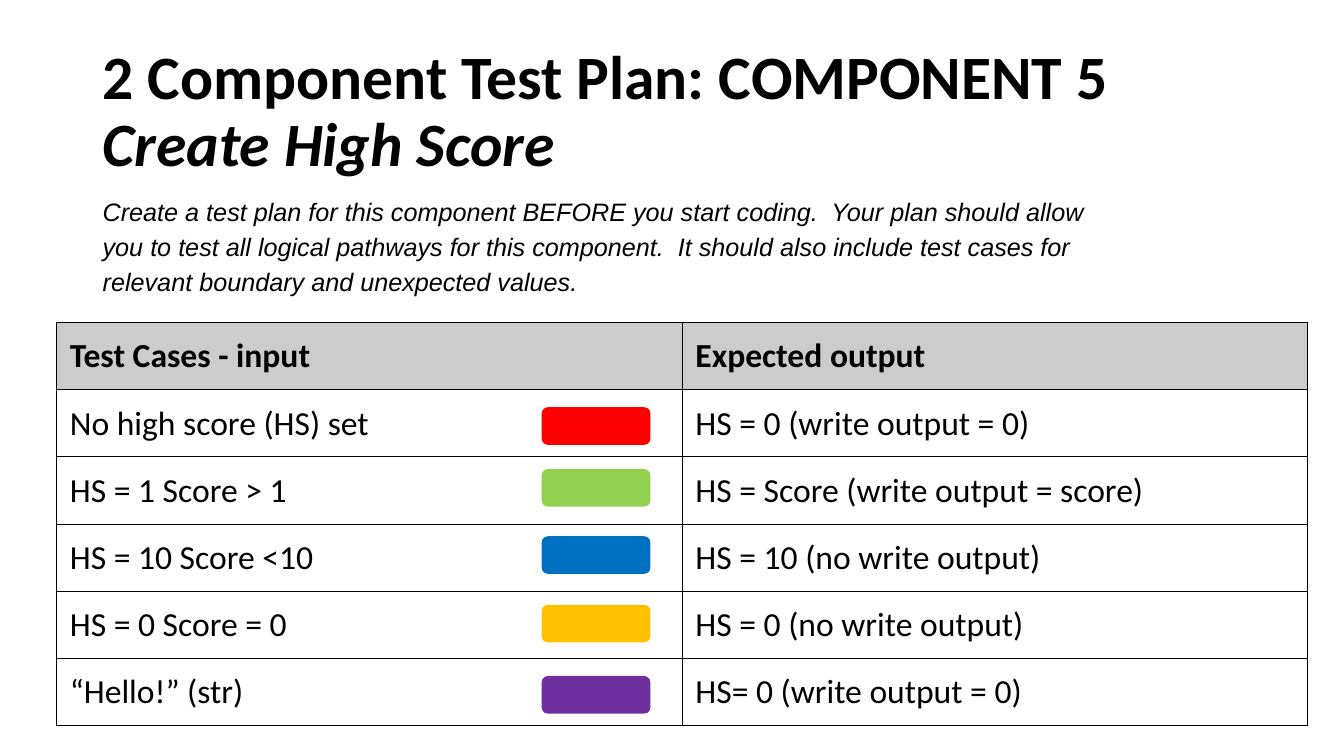
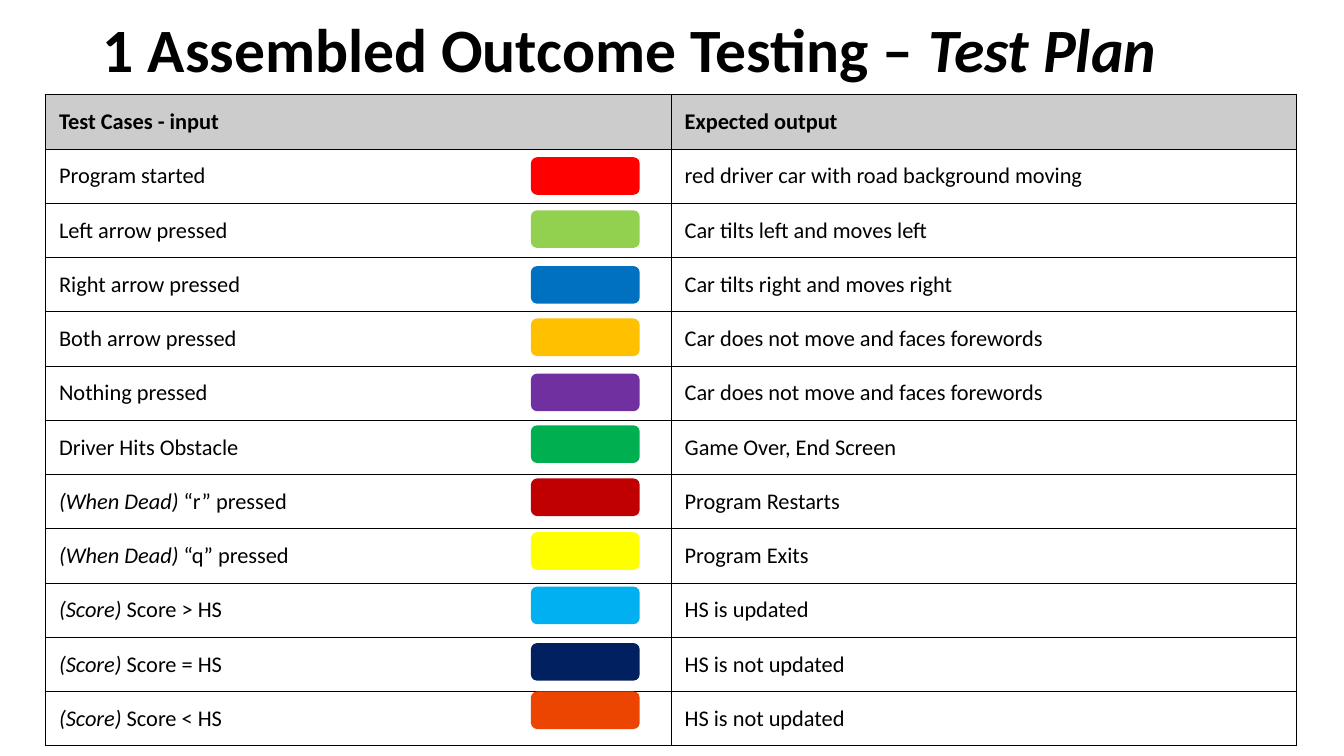
"""Build two test plan slides: a heading, a bordered table and colour swatches."""
from dataclasses import dataclass

from lxml.etree import SubElement
from pptx import Presentation
from pptx.dml.color import RGBColor
from pptx.enum.shapes import MSO_SHAPE
from pptx.enum.text import MSO_ANCHOR, MSO_AUTO_SIZE, PP_ALIGN
from pptx.oxml.ns import qn
from pptx.util import Emu, Pt

EMU_PER_PX = 6096

BLACK = RGBColor(0x00, 0x00, 0x00)
WHITE = RGBColor(0xFF, 0xFF, 0xFF)
HEADER_GREY = RGBColor(0xCC, 0xCC, 0xCC)
RED = RGBColor(0xFF, 0x00, 0x00)
LIGHT_GREEN = RGBColor(0x92, 0xD0, 0x50)
BLUE = RGBColor(0x00, 0x70, 0xC0)
AMBER = RGBColor(0xFF, 0xC0, 0x00)
PURPLE = RGBColor(0x70, 0x30, 0xA0)
GREEN = RGBColor(0x00, 0xB0, 0x50)
DARK_RED = RGBColor(0xC0, 0x00, 0x00)
YELLOW = RGBColor(0xFF, 0xFF, 0x00)
SKY_BLUE = RGBColor(0x00, 0xB0, 0xF0)
NAVY = RGBColor(0x00, 0x20, 0x60)
ORANGE = RGBColor(0xEC, 0x45, 0x02)

HEADINGS = ("Test Cases - input", "Expected output")
COLUMN_WIDTH = 931
CELL_MARGIN = 20
SWATCH_OFFSET, SWATCH_WIDTH, SWATCH_HEIGHT = 722, 162, 56

TITLE_FONT = {"name": "Calibri", "size": Pt(44), "bold": True}
INSTRUCTION_FONT = {"name": "Arial", "size": Pt(18), "bold": False}
TITLE_PARAGRAPH = {"alignment": PP_ALIGN.LEFT, "line_spacing": 0.9}
TITLE_FRAME = {
    "word_wrap": True,
    "auto_size": MSO_AUTO_SIZE.NONE,
    "vertical_anchor": MSO_ANCHOR.MIDDLE,
}

INSTRUCTION = (
    "Create a test plan for this component BEFORE you start coding.  "
    "Your plan should allow you to test all logical pathways for this component.  "
    "It should also include test cases for relevant boundary and unexpected values."
)


@dataclass
class TestCase:
    """One table row, with the colour and top edge of its swatch."""

    test_input: str
    expected: str
    colour: RGBColor
    swatch_top: int
    condition: str = ""


COMPONENT_CASES = [
    TestCase("No high score (HS) set", "HS = 0 (write output = 0)", RED, 606),
    TestCase("HS = 1 Score > 1", "HS = Score (write output = score)", LIGHT_GREEN, 698),
    TestCase("HS = 10 Score <10", "HS = 10 (no write output)", BLUE, 798),
    TestCase("HS = 0 Score = 0", "HS = 0 (no write output)", AMBER, 900),
    TestCase("“Hello!” (str)", "HS= 0 (write output = 0)", PURPLE, 1006),
]

OUTCOME_CASES = [
    TestCase("Program started", "red driver car with road background moving", RED, 234),
    TestCase("Left arrow pressed", "Car tilts left and moves left", LIGHT_GREEN, 313),
    TestCase("Right arrow pressed", "Car tilts right and moves right", BLUE, 396),
    TestCase("Both arrow pressed", "Car does not move and faces forewords", AMBER, 474),
    TestCase("Nothing pressed", "Car does not move and faces forewords", PURPLE, 556),
    TestCase("Driver Hits Obstacle", "Game Over, End Screen", GREEN, 633),
    TestCase("“r” pressed", "Program Restarts", DARK_RED, 712, "(When Dead) "),
    TestCase("“q” pressed", "Program Exits", YELLOW, 792, "(When Dead) "),
    TestCase("Score > HS", "HS is updated", SKY_BLUE, 873, "(Score) "),
    TestCase("Score = HS", "HS is not updated", NAVY, 957, "(Score) "),
    TestCase("Score < HS", "HS is not updated", ORANGE, 1029, "(Score) "),
]


def px(length):
    """Convert a length in px to EMU."""
    return Emu(length * EMU_PER_PX)


def box(left, top, width, height):
    """Return a position and size as keyword values in EMU."""
    return {"left": px(left), "top": px(top), "width": px(width), "height": px(height)}


def apply_format(target, values):
    """Set every attribute named in a dict of format values."""
    for name, value in values.items():
        setattr(target, name, value)


def add_run(paragraph, text, font_format, italic=False):
    """Append a black run in the given font."""
    run = paragraph.add_run()
    run.text = text
    apply_format(run.font, {**font_format, "italic": italic})
    run.font.color.rgb = BLACK


def add_title(slide, top, text, italic_text, two_lines=False):
    """Fill the title placeholder with a plain and an italic part."""
    title = slide.shapes.title
    apply_format(title, box(138, top, 1725, 217))
    apply_format(title.text_frame, TITLE_FRAME)
    paragraph = title.text_frame.paragraphs[0]
    apply_format(paragraph, TITLE_PARAGRAPH)
    add_run(paragraph, text, TITLE_FONT)
    if two_lines:
        paragraph.add_line_break()
    add_run(paragraph, italic_text, TITLE_FONT, italic=True)


def add_instruction(slide, text):
    """Add the italic instruction under the title."""
    frame = slide.shapes.add_textbox(**box(138, 278, 1550, 168)).text_frame
    apply_format(frame, {"word_wrap": True, "auto_size": MSO_AUTO_SIZE.SHAPE_TO_FIT_TEXT})
    paragraph = frame.paragraphs[0]
    paragraph.line_spacing = 1.15
    add_run(paragraph, text, INSTRUCTION_FONT, italic=True)


def add_borders(cell):
    """Draw a thin black line on each side of a cell."""
    properties = cell._tc.get_or_add_tcPr()
    for side in ("a:lnL", "a:lnR", "a:lnT", "a:lnB"):
        line = SubElement(properties, qn(side), w=str(Pt(0.75)))
        fill = SubElement(line, qn("a:solidFill"))
        SubElement(fill, qn("a:srgbClr"), val=str(BLACK))


def format_cell(cell, fill_colour):
    """Give a cell its margins, borders and fill."""
    sides = ("left", "right", "top", "bottom")
    apply_format(cell, {f"margin_{side}": px(CELL_MARGIN) for side in sides})
    add_borders(cell)
    cell.fill.solid()
    cell.fill.fore_color.rgb = fill_colour


def add_test_table(slide, left, top, row_height, font_size, cases):
    """Add the table of test cases under its header row."""
    rows = [("", *HEADINGS)]
    rows += [(case.condition, case.test_input, case.expected) for case in cases]
    area = box(left, top, 2 * COLUMN_WIDTH, row_height * len(rows))
    table = slide.shapes.add_table(len(rows), 2, **area).table
    apply_format(table, {"first_row": False, "horz_banding": False})
    for row_number, (condition, *texts) in enumerate(rows):
        is_header = row_number == 0
        font_format = {"name": "Calibri", "size": Pt(font_size), "bold": is_header}
        for column_number, text in enumerate(texts):
            cell = table.cell(row_number, column_number)
            format_cell(cell, HEADER_GREY if is_header else WHITE)
            paragraph = cell.text_frame.paragraphs[0]
            if condition and column_number == 0:
                add_run(paragraph, condition, font_format, italic=True)
            add_run(paragraph, text, font_format)


def add_swatch(slide, left, top, colour):
    """Add a rounded colour marker."""
    area = box(left, top, SWATCH_WIDTH, SWATCH_HEIGHT)
    swatch = slide.shapes.add_shape(MSO_SHAPE.ROUNDED_RECTANGLE, **area)
    swatch.shadow.inherit = False
    swatch.fill.solid()
    swatch.fill.fore_color.rgb = colour
    swatch.line.fill.background()


def add_test_plan(slide, left, top, row_height, font_size, cases):
    """Add a table of test cases with a swatch for each case."""
    add_test_table(slide, left, top, row_height, font_size, cases)
    for case in cases:
        add_swatch(slide, left + SWATCH_OFFSET, case.swatch_top, case.colour)


def main():
    """Build and save the presentation."""
    presentation = Presentation()
    apply_format(presentation, {"slide_width": px(2000), "slide_height": px(1125)})
    title_only = presentation.slide_layouts[5]

    component_slide = presentation.slides.add_slide(title_only)
    add_title(component_slide, 60, "2 Component Test Plan: COMPONENT 5",
              "Create High Score", two_lines=True)
    add_instruction(component_slide, INSTRUCTION)
    add_test_plan(component_slide, 84, 480, 100, 24, COMPONENT_CASES)

    outcome_slide = presentation.slides.add_slide(title_only)
    add_title(outcome_slide, -31, "1 Assembled Outcome Testing – ", "Test Plan")
    add_test_plan(outcome_slide, 68, 141, 80, 16, OUTCOME_CASES)

    presentation.save("out.pptx")


if __name__ == "__main__":
    main()
